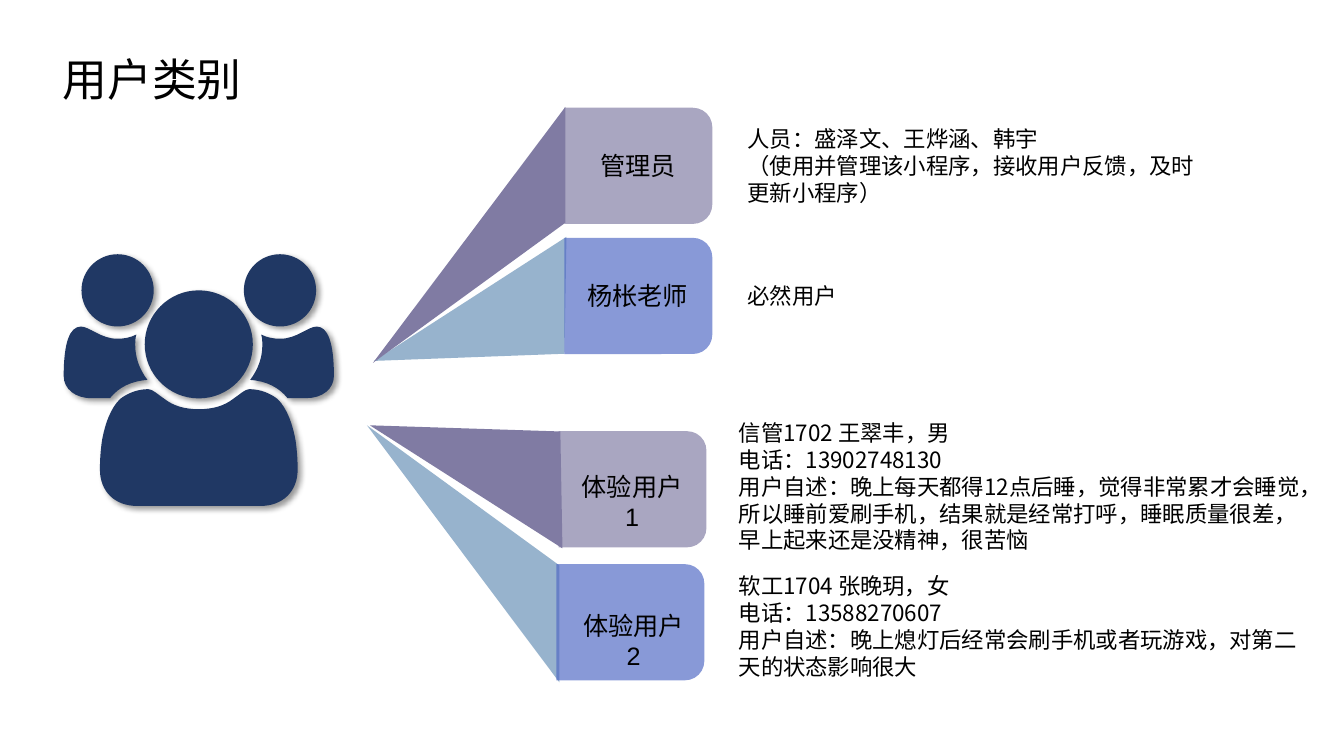
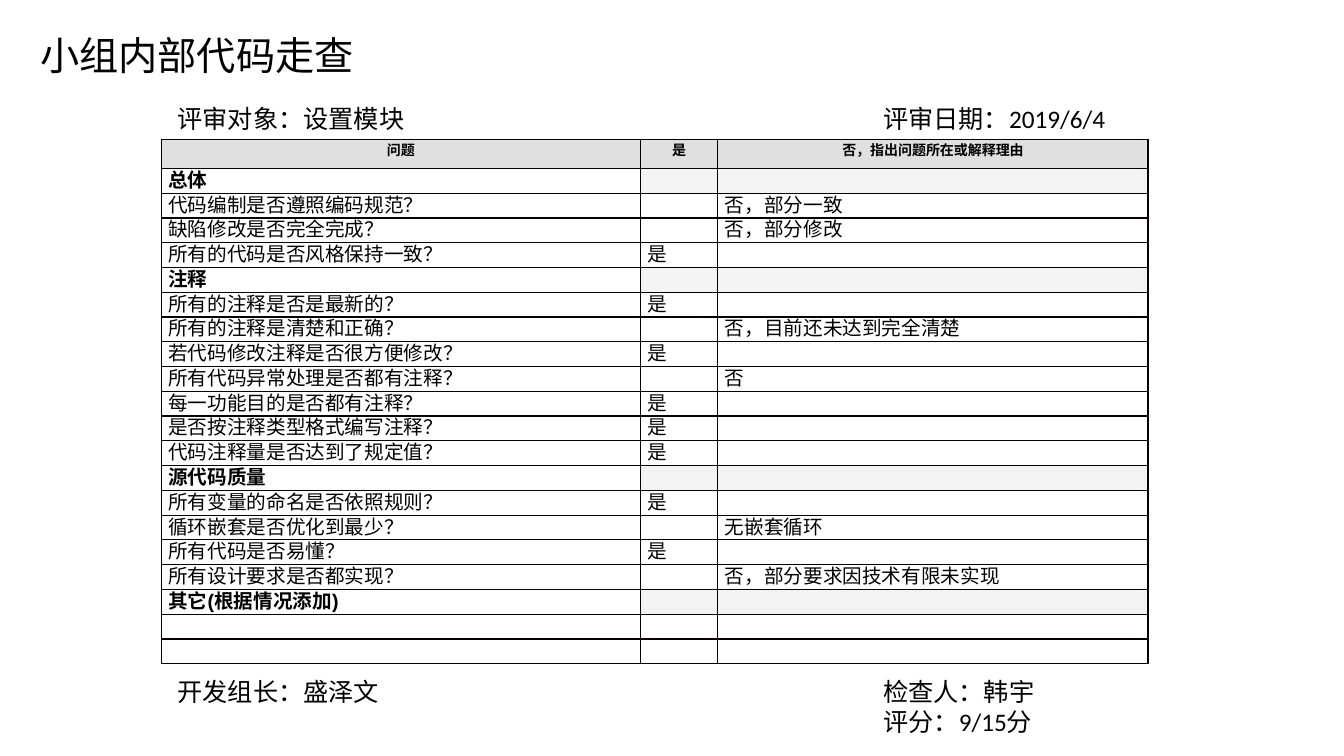
from lxml import etree
from pptx import Presentation
from pptx import util as u
from pptx.dml.color import RGBColor
from pptx.enum import shapes, text
from pptx.oxml import parse_xml
from pptx.oxml.ns import qn

Pt = u.Pt
NS = 'xmlns:a="http://schemas.openxmlformats.org/drawingml/2006/main"'
BLACK, NAVY, PURPLE, BLUE, STEEL = "000000", "203864", "807BA3", "4E67C4", "97B3CD"
BORDER, HEADER_FILL, SECTION_FILL = "080000", "E0E0E0", "F3F3F3"
SANS, ARIAL, CALIBRI = "Noto Sans CJK SC", "Arial", "Calibri"

USERS = [
    dict(label="杨枨老师", label_at=(410.5, 197), box_at=(403.2, 169.9), colour=BLUE,
         beam=[(404.6, 169.2), (403.2, 252.7), (267.1, 257.8)], beam_colour=STEEL,
         notes_at=(527, 198), notes_width=335, notes=["必然用户"]),
    dict(label="体验用户1", label_at=(406.5, 333.2), box_at=(399, 308), colour=PURPLE,
         beam=[(264.2, 303.8), (400.3, 308.2), (401.8, 391.7)], beam_colour=PURPLE,
         notes_at=(520.6, 295.8), notes_width=418.3,
         notes=["信管1702 王翠丰，男", "电话：13902748130",
                "用户自述：晚上每天都得12点后睡，觉得非常累才会睡觉，所以睡前爱刷手机，"
                "结果就是经常打呼，睡眠质量很差，早上起来还是没精神，很苦恼"]),
    dict(label="体验用户2", label_at=(407.5, 432.5), box_at=(397.5, 403), colour=BLUE,
         beam=[(399.6, 487.4), (399.6, 403.9), (262.1, 303.8)], beam_colour=STEEL,
         notes_at=(520.6, 405.4), notes_width=415.4,
         notes=["软工1704 张晚玥，女", "电话：13588270607",
                "用户自述：晚上熄灯后经常会刷手机或者玩游戏，对第二天的状态影响很大"]),
    dict(label="管理员", label_at=(411, 103.7), box_at=(403.2, 77), colour=PURPLE,
         beam=[(403.9, 76.3), (403.9, 159.1), (266.4, 259.2)], beam_colour=PURPLE,
         notes_at=(527, 85.7), notes_width=335,
         notes=["人员：盛泽文、王烨涵、韩宇",
                "（使用并管理该小程序，接收用户反馈，及时更新小程序）"]),
]
BOX_WIDTH, BOX_HEIGHT = 105.6, 83

AXIS = 142
FRONT_HALF = [(0, 292.3),
              (10, 292.3), (18, 290), (24.5, 285),
              (29, 282), (33, 278), (36, 278),
              (44, 278), (51, 281), (56.2, 285),
              (63, 291.5), (67, 303), (69.1, 314.6),
              (70.2, 322), (70.6, 329), (70.6, 335.5),
              (70.6, 351), (60, 361.4), (44, 361.4)]
BASE = [(15, 361.4), (-15, 361.4)]
SIDE_BODY = [(84.2, 233.3),
             (92.2, 233.3), (96.5, 244.8), (96.5, 268.6),
             (96.5, 278), (88, 284.4), (77, 284.4),
             (72.5, 284.4), (68, 284.4), (63.4, 284.4),
             (57, 276.5), (48.2, 272.2), (36.7, 271.4),
             (42.5, 263.5), (45.4, 255.6), (45.4, 246.2),
             (45.4, 244), (45.4, 242), (44.6, 239),
             (49, 241.2), (53.3, 242), (58.3, 242),
             (70, 242), (78, 233.3), (84.2, 233.3)]
HEADS = [(0, 246, 38.6), (58, 207.4, 25.8), (-58, 207.4, 25.8)]

HEADER = ("问题", "是", "否，指出问题所在或解释理由")
YES = "是"
CHECKS = [
    ("总体", [("代码编制是否遵照编码规范？", "", "否，部分一致"),
            ("缺陷修改是否完全完成？", "", "否，部分修改"),
            ("所有的代码是否风格保持一致？", YES, "")]),
    ("注释", [("所有的注释是否是最新的？", YES, ""),
            ("所有的注释是清楚和正确？", "", "否，目前还未达到完全清楚"),
            ("若代码修改注释是否很方便修改？", YES, ""),
            ("所有代码异常处理是否都有注释？", "", "否"),
            ("每一功能目的是否都有注释？", YES, ""),
            ("是否按注释类型格式编写注释？", YES, ""),
            ("代码注释量是否达到了规定值？", YES, "")]),
    ("源代码质量", [("所有变量的命名是否依照规则？", YES, ""),
               ("循环嵌套是否优化到最少？", "", "无嵌套循环"),
               ("所有代码是否易懂？", YES, ""),
               ("所有设计要求是否都实现？", "", "否，部分要求因技术有限未实现")]),
    ("其它(根据情况添加)", [("", "", ""), ("", "", "")]),
]
COLUMN_WIDTHS = (342.2, 55.4, 307.2)
HEADER_HEIGHT, ROW_HEIGHT, ROW_LINE = 20.9, 17.71, 17.6
SUMMARY = [(70, ["评审对象：设置模块\t评审日期：2019/6/4"]),
           (479.5, ["开发组长：盛泽文\t检查人：韩宇", "\t评分：9/15分"])]
SECOND_COLUMN = 504


def rgb(colour):
    return RGBColor.from_string(colour)


def add_span(para, words, size, font, bold=False):
    span = para.add_run()
    span.text = words
    span.font.size = Pt(size)
    span.font.name = font
    span.font.bold = bold
    span.font.color.rgb = rgb(BLACK)


def add_title(page, words, left, top, width, size, spacing=1.0):
    title = page.shapes.title
    title.left, title.top, title.width, title.height = map(Pt, (left, top, width, size * 1.5))
    frame = title.text_frame
    frame.auto_size = text.MSO_AUTO_SIZE.NONE
    frame.vertical_anchor = text.MSO_ANCHOR.TOP
    para = frame.paragraphs[0]
    para.alignment = text.PP_ALIGN.LEFT
    para.line_spacing = spacing
    add_span(para, words, size, SANS)


def add_text(page, lines, left, top, width, size, font, centred=False, tab=None):
    box = page.shapes.add_textbox(Pt(left), Pt(top), Pt(width), Pt(size * 1.2 * len(lines) + 7))
    frame = box.text_frame
    frame.word_wrap = True
    for index, words in enumerate(lines):
        para = frame.add_paragraph() if index else frame.paragraphs[0]
        para.alignment = text.PP_ALIGN.CENTER if centred else text.PP_ALIGN.LEFT
        if tab:
            para._p.get_or_add_pPr().append(parse_xml(
                f'<a:tabLst {NS}><a:tab pos="{Pt(tab)}" algn="l"/></a:tabLst>'))
        add_span(para, words, size, font)


def paint(shape, colour, opacity=100):
    shape.shadow.inherit = False
    shape.line.fill.background()
    shape.fill.solid()
    shape.fill.fore_color.rgb = rgb(colour)
    if opacity < 100:
        colour_node = shape._element.spPr.find(qn("a:solidFill"))[0]
        etree.SubElement(colour_node, qn("a:alpha")).set("val", str(opacity * 1000))


def add_outline(page, contours, colour):
    builder = None
    for contour in contours:
        points = [(Pt(x), Pt(y)) for x, y in contour]
        if builder is None:
            builder = page.shapes.build_freeform(*points[0], scale=1.0)
        else:
            builder.move_to(*points[0])
        builder.add_line_segments(points[1:], close=False)
        builder.add_line_segments([], close=True)
    shape = builder.convert_to_shape()
    paint(shape, colour)
    return shape


def bend_lines(shape):
    lines = list(shape._element.iter(qn("a:lnTo")))
    for start in range(0, len(lines), 3):
        curve = etree.Element(qn("a:cubicBezTo"))
        lines[start].addprevious(curve)
        for line in lines[start:start + 3]:
            curve.append(line[0])
            line.getparent().remove(line)


def mirror(points):
    return [(-x, y) for x, y in points]


def circle_nodes(x, y, radius):
    k = 0.5523
    unit = [(1, 0), (1, k), (k, 1), (0, 1), (-k, 1), (-1, k), (-1, 0),
            (-1, -k), (-k, -1), (0, -1), (k, -1), (1, -k), (1, 0)]
    return [(x + radius * dx, y + radius * dy) for dx, dy in unit]


def add_people(page):
    front = FRONT_HALF + BASE + mirror(FRONT_HALF)[::-1]
    contours = [front, SIDE_BODY, mirror(SIDE_BODY)]
    contours += [circle_nodes(*head) for head in HEADS]
    people = add_outline(page, [[(AXIS + x, y) for x, y in contour] for contour in contours], NAVY)
    bend_lines(people)
    people._element.spPr.find(qn("a:effectLst")).append(parse_xml(
        f'<a:outerShdw {NS} blurRad="{Pt(4)}" dist="{Pt(3)}" dir="2700000" algn="tl" '
        'rotWithShape="0"><a:srgbClr val="000000"><a:alpha val="40000"/></a:srgbClr></a:outerShdw>'))


def add_user(page, user):
    add_outline(page, [user["beam"]], user["beam_colour"])
    left, top = user["box_at"]
    shift = (BOX_WIDTH - BOX_HEIGHT) / 2
    box = page.shapes.add_shape(shapes.MSO_SHAPE.ROUND_2_SAME_RECTANGLE, Pt(left + shift),
                                Pt(top - shift), Pt(BOX_HEIGHT), Pt(BOX_WIDTH))
    box.rotation = 90
    paint(box, user["colour"], 67)
    add_text(page, [user["label"]], *user["label_at"], 90, 18, ARIAL, centred=True)
    add_text(page, user["notes"], *user["notes_at"], user["notes_width"], 16, SANS)


def fill_cell(cell, words, size, bold, fill, centred):
    cell.margin_left = cell.margin_right = Pt(5)
    cell.margin_top = cell.margin_bottom = 0
    para = cell.text_frame.paragraphs[0]
    if centred:
        para.alignment = text.PP_ALIGN.CENTER
    else:
        para.line_spacing = Pt(ROW_LINE)
    if words:
        add_span(para, words, size, ARIAL, bold)
    else:
        para._p.append(parse_xml(f'<a:endParaRPr {NS} sz="{size * 100}"/>'))
    properties = cell._tc.get_or_add_tcPr()
    for side in ("lnL", "lnR", "lnT", "lnB"):
        properties.append(parse_xml(
            f'<a:{side} {NS} w="{Pt(1)}"><a:solidFill><a:srgbClr val="{BORDER}"/>'
            f'</a:solidFill></a:{side}>'))
    if fill:
        cell.fill.solid()
        cell.fill.fore_color.rgb = rgb(fill)
    else:
        cell.fill.background()


def add_checklist(page):
    rows = [("header", HEADER)]
    for section, checks in CHECKS:
        rows.append(("section", (section, "", "")))
        rows += [("check", check) for check in checks]
    height = HEADER_HEIGHT + ROW_HEIGHT * (len(rows) - 1)
    table = page.shapes.add_table(len(rows), len(HEADER), Pt(115.2), Pt(99.4),
                                  Pt(sum(COLUMN_WIDTHS)), Pt(height)).table
    for column, width in zip(table.columns, COLUMN_WIDTHS):
        column.width = Pt(width)
    for row_index, (kind, words) in enumerate(rows):
        header = kind == "header"
        table.rows[row_index].height = Pt(HEADER_HEIGHT if header else ROW_HEIGHT)
        for column_index, entry in enumerate(words):
            fill = HEADER_FILL if header else None
            if kind == "section" and column_index:
                fill = SECTION_FILL
            fill_cell(table.cell(row_index, column_index), entry, 10 if header else 14,
                      kind != "check", fill, header)


def main():
    deck = Presentation()
    deck.slide_width, deck.slide_height = Pt(960), Pt(540)
    title_only = deck.slide_layouts[5]

    page = deck.slides.add_slide(title_only)
    add_title(page, "用户类别", 37.5, 26, 180, 32, 1.2)
    for user in USERS:
        add_user(page, user)
    add_people(page)

    page = deck.slides.add_slide(title_only)
    add_title(page, "小组内部代码走查", 21.6, 18.7, 272, 28)
    add_checklist(page)
    for top, lines in SUMMARY:
        add_text(page, lines, 119.8, top, 700, 18, CALIBRI, tab=SECOND_COLUMN)

    deck.save("out.pptx")


if __name__ == "__main__":
    main()
